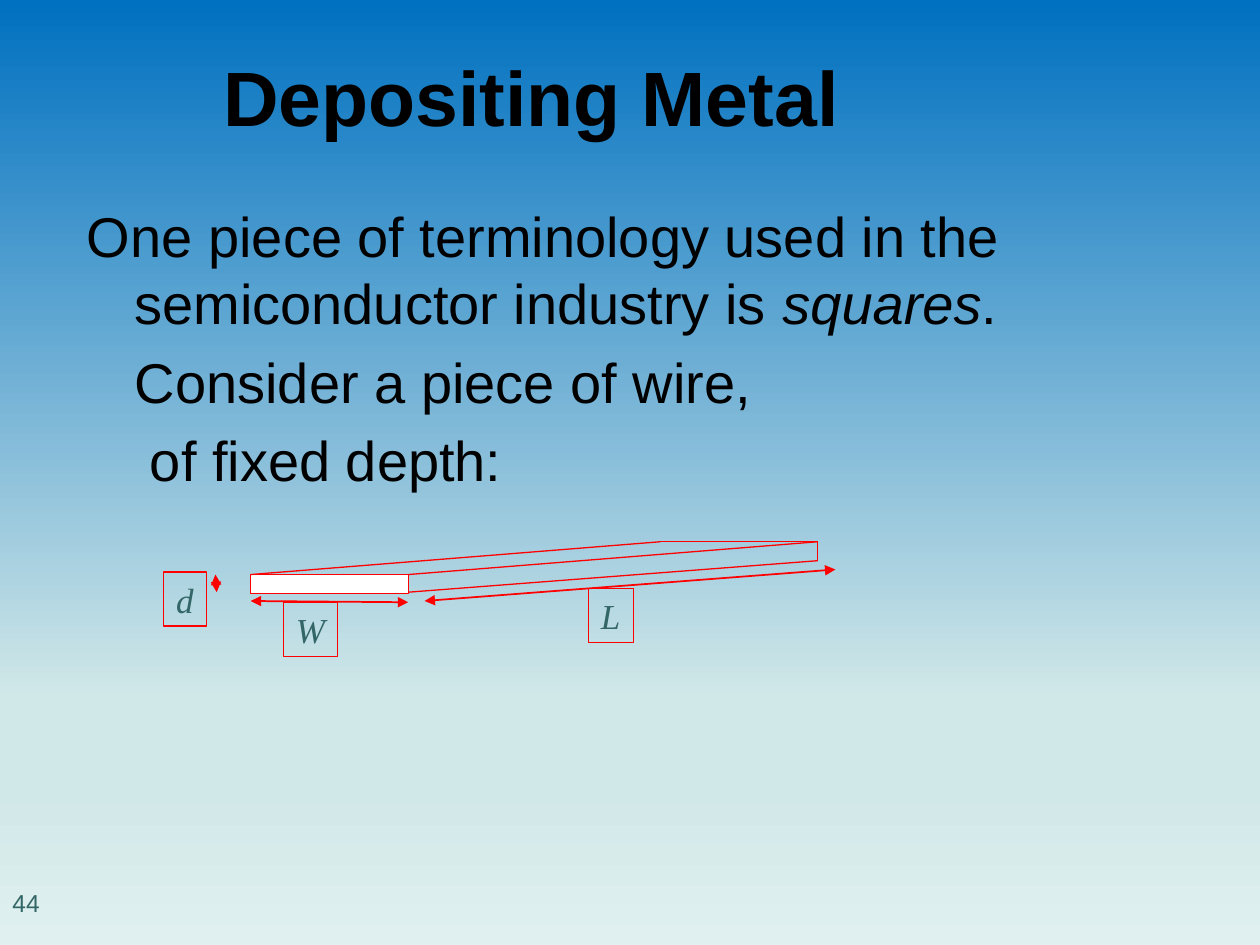
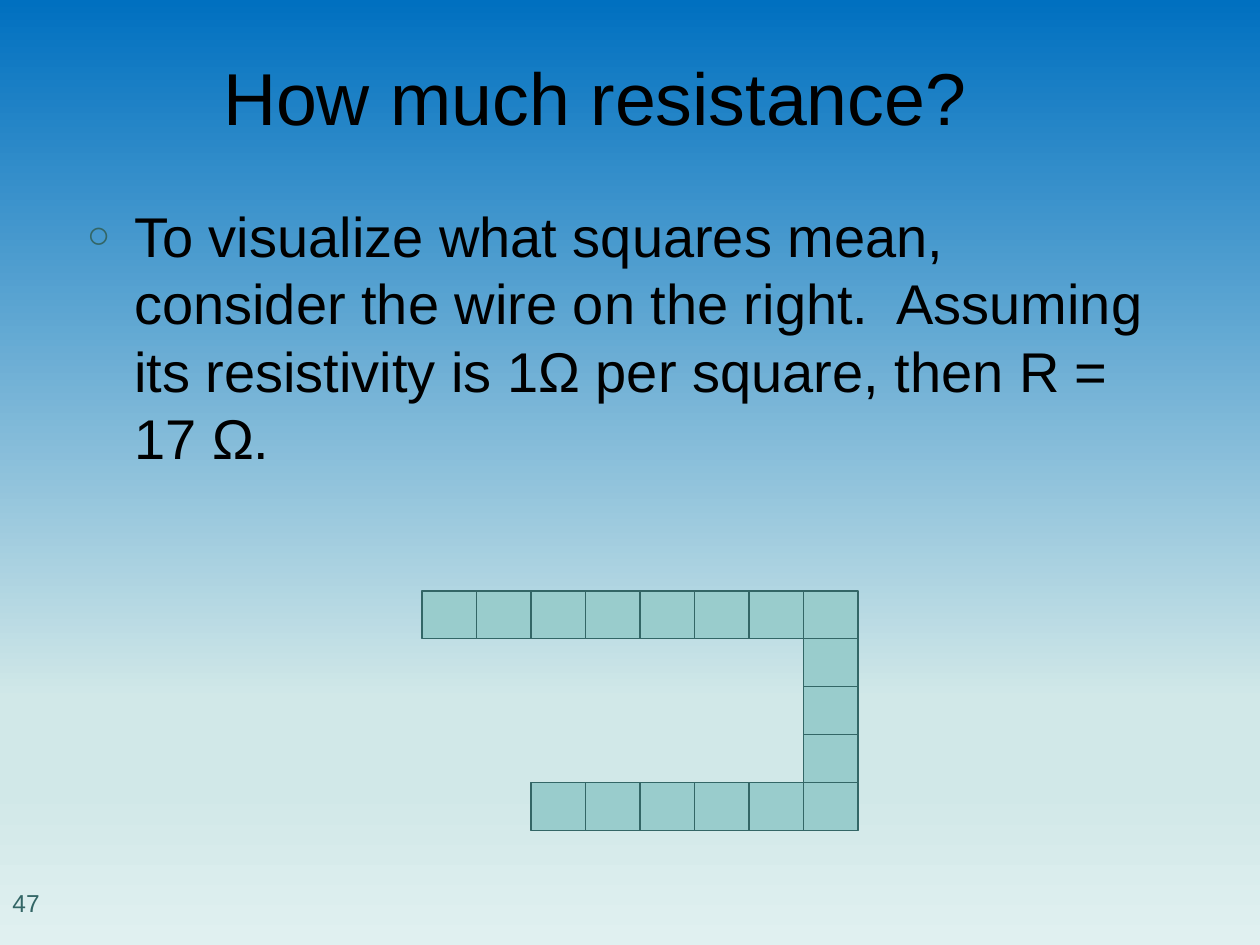
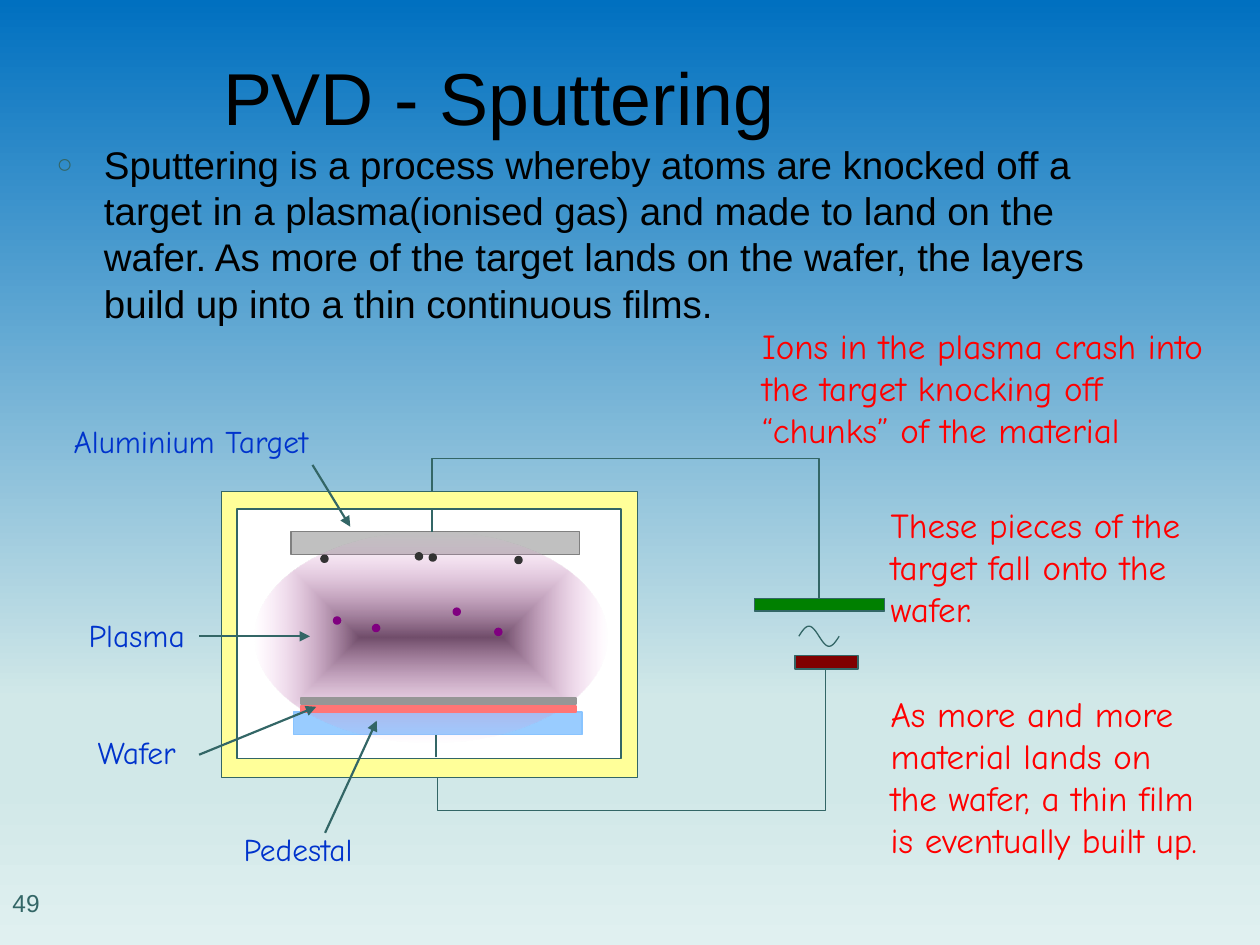
from dataclasses import dataclass
from math import pi, sin
from typing import NamedTuple, Optional

from lxml.etree import SubElement
from pptx import Presentation
from pptx.dml.color import RGBColor
from pptx.enum.shapes import MSO_CONNECTOR as Connector, MSO_SHAPE as Preset
from pptx.enum.text import MSO_ANCHOR as Anchor, MSO_AUTO_SIZE as AutoSize, PP_ALIGN as Align
from pptx.oxml.ns import qn
from pptx.util import Cm, Length, Pt


# Theme: colours, fonts and type sizes
@dataclass(frozen=True)
class Theme:
    black: str = "000000"
    white: str = "FFFFFF"
    teal: str = "336666"
    pale_teal: str = "99CCCC"
    red: str = "FF0000"
    blue: str = "0033CC"
    ion: str = "800080"
    atom: str = "333333"
    sans: str = "Arial"
    serif: str = "Times New Roman"
    hand: str = "Comic Neue"
    title_size: float = 42
    strong_title_size: float = 44
    body_size: float = 32
    small_body_size: float = 22
    note_size: float = 20
    label_size: float = 18
    number_size: float = 14
    thin: float = 0.75
    medium: float = 1
    thick: float = 1.25


THEME = Theme()
CM_PER_INCH = 2.54


class Stop(NamedTuple):
    percent: int
    color: str
    alpha: int = 100


class Box(NamedTuple):
    left: float
    top: float
    width: float
    height: float

    def lengths(self) -> list[Length]:
        return [to_cm(value) for value in self]


class Style(NamedTuple):
    size: float
    font: str = THEME.sans
    color: str = THEME.black
    bold: bool = False
    italic: Optional[bool] = None


class Block(NamedTuple):
    box: Box
    fill: Optional[str] = None
    line: Optional[str] = THEME.teal
    weight: float = THEME.thin
    preset: Preset = Preset.RECTANGLE


class Line(NamedTuple):
    start: tuple[float, float]
    end: tuple[float, float]
    color: str = THEME.teal
    weight: float = THEME.thick
    heads: tuple[str, ...] = ()


class Label(NamedTuple):
    text: str
    box: Box


BACKGROUND = [Stop(0, "0070C0"), Stop(74, "D1E8E8"), Stop(83, "D1E8E8"), Stop(100, "E0F0F0")]
PLASMA = [Stop(0, "714E6B"), Stop(100, "F5A9E7", 0)]
TITLE_BOX = Box(1.67, 0.21, 7.67, 1.1)
BODY_BOX = Box(0.59, 1.55, 8.74, 5.04)
NUMBER_BOX = Box(0, 7, 1.42, 0.5)
TITLE_STYLE = Style(THEME.title_size)
BODY_STYLE = Style(THEME.body_size)
BOTH_ENDS = ("headEnd", "tailEnd")


def to_cm(inches: float) -> Length:
    return Cm(inches * CM_PER_INCH)


# Text
def style_paragraph(paragraph, style: Style) -> None:
    font = paragraph.font
    font.name, font.size = style.font, Pt(style.size)
    font.bold, font.italic = style.bold, style.italic
    font.color.rgb = RGBColor.from_string(style.color)


def place(shape, box: Box) -> None:
    shape.left, shape.top, shape.width, shape.height = box.lengths()


def add_text(slide, label: Label, style: Style, align=Align.LEFT, wrap: bool = True):
    shape = slide.shapes.add_textbox(*label.box.lengths())
    frame = shape.text_frame
    frame.word_wrap = wrap
    frame.text = label.text
    frame.paragraphs[0].alignment = align
    style_paragraph(frame.paragraphs[0], style)
    return shape


def set_bullet(paragraph, character: Optional[str]) -> None:
    properties = paragraph._p.get_or_add_pPr()
    if character is None:
        bullet = [("buNone", {})]
    else:
        color = SubElement(properties, qn("a:buClr"))
        SubElement(color, qn("a:srgbClr"), val=THEME.teal)
        bullet = [("buSzPct", {"val": "70000"}), ("buFont", {"typeface": THEME.sans}),
                  ("buChar", {"char": character})]
    for tag, attributes in bullet:
        SubElement(properties, qn(f"a:{tag}"), attributes)


def set_indent(paragraph, margin: float) -> None:
    properties = paragraph._p.get_or_add_pPr()
    properties.set("marL", str(to_cm(margin)))
    properties.set("indent", "0")


# Shapes
def set_gradient(fill, parent, stops: list[Stop], path: Optional[str] = None) -> None:
    fill.gradient()
    gradient = parent.find(f".//{qn('a:gradFill')}")
    for child in list(gradient):
        gradient.remove(child)
    stop_list = SubElement(gradient, qn("a:gsLst"))
    for stop in stops:
        item = SubElement(stop_list, qn("a:gs"), pos=str(stop.percent * 1000))
        color = SubElement(item, qn("a:srgbClr"), val=stop.color)
        if stop.alpha < 100:
            SubElement(color, qn("a:alpha"), val=str(stop.alpha * 1000))
    if path:
        center = SubElement(gradient, qn("a:path"), path=path)
        SubElement(center, qn("a:fillToRect"), dict.fromkeys("ltrb", "50000"))
    else:
        SubElement(gradient, qn("a:lin"), ang="5400000", scaled="0")


def style_shape(shape, fill: Optional[str], line: Optional[str], weight: float) -> None:
    shape.shadow.inherit = False
    if fill:
        shape.fill.solid()
        shape.fill.fore_color.rgb = RGBColor.from_string(fill)
    else:
        shape.fill.background()
    if line:
        shape.line.color.rgb = RGBColor.from_string(line)
        shape.line.width = Pt(weight)
    else:
        shape.line.fill.background()


def add_block(slide, block: Block):
    shape = slide.shapes.add_shape(block.preset, *block.box.lengths())
    style_shape(shape, block.fill, block.line, block.weight)
    return shape


def add_line(slide, line: Line) -> None:
    ends = [to_cm(value) for value in (*line.start, *line.end)]
    connector = slide.shapes.add_connector(Connector.STRAIGHT, *ends)
    connector.line.color.rgb = RGBColor.from_string(line.color)
    connector.line.width = Pt(line.weight)
    for head in line.heads:
        SubElement(connector.line._get_or_add_ln(), qn(f"a:{head}"), type="triangle")
    SubElement(connector._element.spPr, qn("a:effectLst"))


def add_outline(slide, points: list[tuple[float, float]]) -> None:
    first, *others = [(to_cm(x), to_cm(y)) for x, y in points]
    builder = slide.shapes.build_freeform(*first)
    builder.add_line_segments(others, close=False)
    style_shape(builder.convert_to_shape(), None, THEME.teal, THEME.thin)


# Shared slide frame: title, list and number
def add_slide(presentation, number: int, title: str, paragraphs: list[str],
              title_style: Style = TITLE_STYLE, body_style: Style = BODY_STYLE,
              body_box: Box = BODY_BOX, bullet: Optional[str] = "○"):
    slide = presentation.slides.add_slide(presentation.slide_layouts[1])
    heading, body = slide.shapes.title, slide.placeholders[1]
    for shape, box, text, style in ((heading, TITLE_BOX, title, title_style),
                                    (body, body_box, "\n".join(paragraphs), body_style)):
        place(shape, box)
        shape.text_frame.text = text
        shape.text_frame.auto_size = AutoSize.NONE
        for paragraph in shape.text_frame.paragraphs:
            paragraph.alignment = Align.LEFT
            style_paragraph(paragraph, style)
    heading.text_frame.vertical_anchor = Anchor.MIDDLE
    for paragraph in body.text_frame.paragraphs:
        set_bullet(paragraph, bullet)
    add_text(slide, Label(str(number), NUMBER_BOX),
             Style(THEME.number_size, color=THEME.teal))
    return slide


# Slide 44: a wire of width W, length L and depth d
def build_metal_slide(presentation) -> None:
    slide = add_slide(
        presentation, 44, "Depositing Metal",
        ["One piece of terminology used in the semiconductor industry is ",
         "Consider a piece of wire,", "of fixed depth:"],
        title_style=Style(THEME.strong_title_size, bold=True), bullet=None)
    opening, wire, depth = slide.placeholders[1].text_frame.paragraphs
    term = opening.add_run()
    term.text, term.font.italic = "squares", True
    opening.add_run().text = "."
    set_indent(wire, 0.38)
    set_indent(depth, 0.5)

    left, right, top, bottom = 1.99, 3.24, 4.56, 4.7
    far_left, far_right, far_top, far_bottom = 5.24, 6.49, 4.3, 4.45
    add_block(slide, Block(Box(left, top, right - left, 0.15), THEME.white, THEME.red))
    edges = [((right, top), (far_right, far_top)),
             ((right, bottom), (far_right, far_bottom)),
             ((left, top), (far_left, far_top)),
             ((far_left, far_top), (far_right, far_top)),
             ((far_right, far_top), (far_right, far_bottom))]
    for start, end in edges:
        add_line(slide, Line(start, end, THEME.red, THEME.thin))
    dimensions = [((3.37, 4.77), (6.63, 4.52)), ((left, 4.77), (right, 4.78)),
                  ((1.71, top), (1.72, bottom))]
    for start, end in dimensions:
        add_line(slide, Line(start, end, THEME.red, THEME.medium, BOTH_ENDS))

    symbol_style = Style(THEME.note_size, THEME.serif, THEME.teal, italic=True)
    for symbol in (Label("d", Box(1.3, 4.54, 0.34, 0.43)),
                   Label("W", Box(2.25, 4.78, 0.43, 0.43)),
                   Label("L", Box(4.67, 4.67, 0.36, 0.43))):
        shape = add_text(slide, symbol, symbol_style, wrap=False)
        style_shape(shape, None, THEME.red, THEME.thin)


# Slide 47: a bent wire divided into squares
def build_resistance_slide(presentation) -> None:
    slide = add_slide(
        presentation, 47, "How much resistance?",
        ["To visualize what squares mean, consider the wire on the right.  Assuming its "
         "resistivity is 1Ω per square, then R = 17 Ω."])
    left, top, width, height = 3.35, 4.69, 0.4325, 0.38

    def cells(column: int, row: int, columns: int = 1, rows: int = 1) -> Box:
        return Box(left + column * width, top + row * height, columns * width, rows * height)

    for bar in (cells(0, 0, columns=8), cells(7, 1, rows=4), cells(2, 4, columns=5)):
        add_block(slide, Block(bar, THEME.pale_teal, THEME.pale_teal))
    squares = ([(column, 0) for column in range(8)]
               + [(column, 4) for column in range(2, 7)]
               + [(7, row) for row in range(1, 5)])
    for column, row in squares:
        add_block(slide, Block(cells(column, row), THEME.pale_teal))


# Slide 49: the sputtering chamber and its circuit
def build_sputtering_slide(presentation) -> None:
    slide = add_slide(
        presentation, 49, "PVD - Sputtering",
        ["Sputtering is a process whereby atoms are knocked off a target in a plasma(ionised "
         "gas) and made to land on the wafer. As more of the target lands on the wafer, the "
         "layers build up into a thin continuous films."],
        body_style=Style(THEME.small_body_size), body_box=Box(0.35, 1.07, 8.74, 5.04))

    # Wires, chamber, target and pedestal
    add_outline(slide, [(3.43, 4.23), (3.43, 3.64), (6.5, 3.64), (6.5, 4.76)])
    add_outline(slide, [(3.47, 5.84), (3.47, 6.43), (6.55, 6.43), (6.55, 5.31)])
    for block in (Block(Box(1.76, 3.9, 3.3, 2.27), "FFFF99"),
                  Block(Box(1.88, 4.04, 3.05, 1.98), THEME.white),
                  Block(Box(2.31, 4.22, 2.29, 0.18), "C0C0C0", "808080"),
                  Block(Box(2.33, 5.65, 2.29, 0.18), "99CCFF", "89C4FF")):
        add_block(slide, block)
    plasma = add_block(slide, Block(Box(2.02, 4.22, 2.8, 1.67), line=None, preset=Preset.OVAL))
    set_gradient(plasma.fill, plasma._element, PLASMA, path="shape")

    # Power source with its sine wave
    add_block(slide, Block(Box(5.99, 4.75, 1.03, 0.1), "008000"))
    add_block(slide, Block(Box(6.31, 5.2, 0.5, 0.11), "800000"))
    steps = 24
    add_outline(slide, [(6.34 + 0.32 * step / steps, 5.05 - 0.08 * sin(2 * pi * step / steps))
                        for step in range(steps + 1)])

    # Wafer, deposited film and leads
    add_line(slide, Line((3.43, 4.04), (3.43, 4.22)))
    add_line(slide, Line((3.46, 6.01), (3.46, 5.83)))
    for top, color in ((5.6, "FF7575"), (5.54, "969696")):
        add_block(slide, Block(Box(2.39, top, 2.18, 0.05), color, color, THEME.thick))

    # Ions and atoms
    particles = {THEME.ion: [(2.96, 4.96), (2.65, 4.9), (3.6, 4.83), (3.93, 4.99)],
                 THEME.atom: [(4.09, 4.42), (3.3, 4.39), (2.55, 4.41), (3.41, 4.4)]}
    for color, corners in particles.items():
        for left, top in corners:
            add_block(slide, Block(Box(left, top, 0.05, 0.05), color, color, THEME.thick,
                                   Preset.OVAL))

    # Part names with their arrows
    parts = [(Label("Aluminium Target", Box(0.39, 3.3, 2.25, 0.4)), (2.48, 3.69), (2.78, 4.18)),
             (Label("Plasma", Box(0.6, 4.84, 0.97, 0.4)), (1.58, 5.05), (2.46, 5.05)),
             (Label("Wafer", Box(0.6, 5.77, 0.97, 0.4)), (1.58, 5.99), (2.51, 5.61)),
             (Label("Pedestal", Box(1.77, 6.54, 1.19, 0.4)), (2.58, 6.61), (2.99, 5.72))]
    for label, start, end in parts:
        add_text(slide, label, Style(THEME.label_size, THEME.hand, THEME.blue),
                 Align.CENTER, wrap=False)
        add_line(slide, Line(start, end, heads=("tailEnd",)))

    # Explanations
    for note in (Label("Ions in the plasma crash into the target knocking off “chunks” of "
                       "the material", Box(5.95, 2.53, 3.93, 1.1)),
                 Label("These pieces of the target fall onto the wafer.",
                       Box(6.97, 3.95, 2.89, 1.1)),
                 Label("As more and more material lands on the wafer, a thin film is "
                       "eventually built up.", Box(6.97, 5.45, 2.64, 1.77))):
        add_text(slide, note, Style(THEME.note_size, THEME.hand, THEME.red))


def main() -> None:
    presentation = Presentation()
    presentation.slide_width, presentation.slide_height = to_cm(10), to_cm(7.5)
    master = presentation.slide_master
    set_gradient(master.background.fill, master._element.cSld, BACKGROUND)
    build_metal_slide(presentation)
    build_resistance_slide(presentation)
    build_sputtering_slide(presentation)
    presentation.save("out.pptx")


if __name__ == "__main__":
    main()
